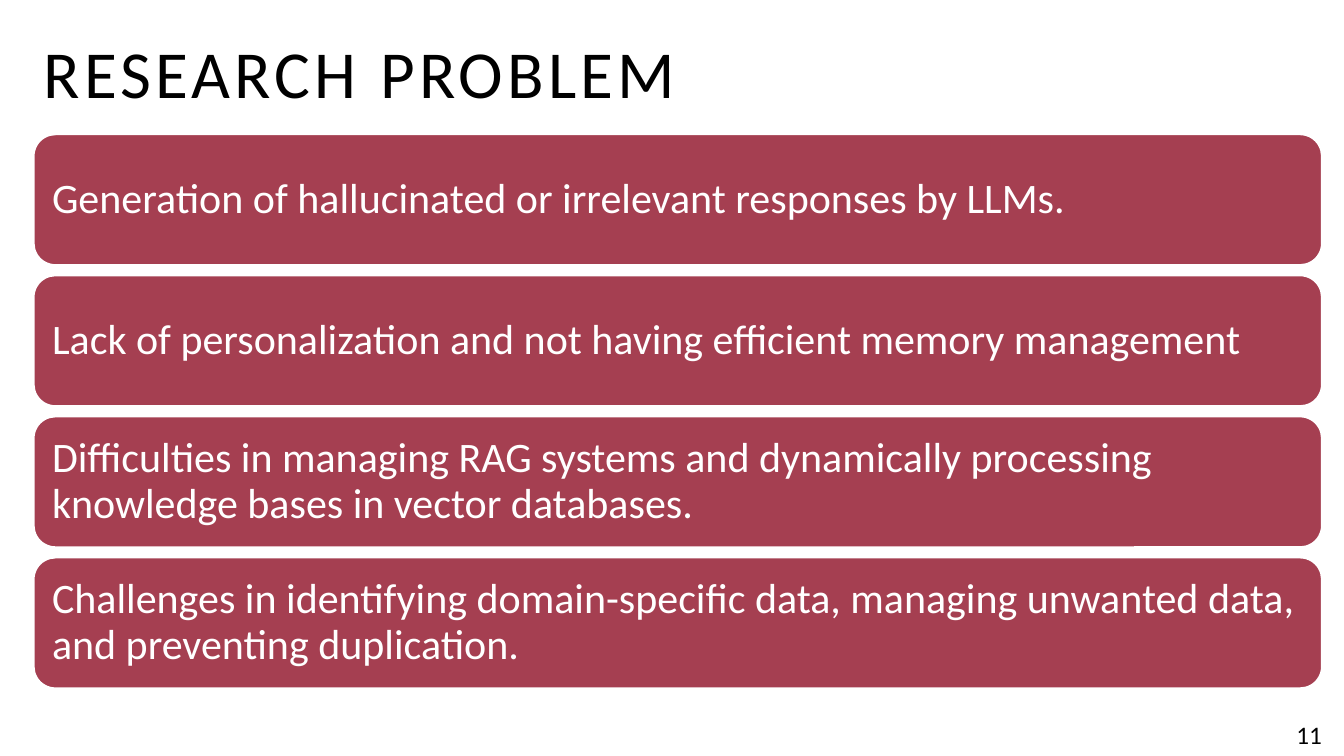
from dataclasses import dataclass

from pptx import Presentation
from pptx.dml.color import RGBColor
from pptx.enum.shapes import MSO_SHAPE
from pptx.enum.text import MSO_ANCHOR, PP_ALIGN
from pptx.util import Inches, Pt

ROUND = MSO_SHAPE.ROUNDED_RECTANGLE
MIDDLE = MSO_ANCHOR.MIDDLE
TOP = MSO_ANCHOR.TOP
LEFT = PP_ALIGN.LEFT

WIDE, HIGH = Inches(13.33), Inches(7.5)
FONT = "Calibri"
HUES = {"black": "000000", "white": "FFFFFF", "rose": "A53F51"}

EDGE, SPAN = 2.5, 95.87
FIRST, STEP, TALL = 17.75, 18.66, 17.33


@dataclass(frozen=True)
class Box:
    """Left, top, width and height as percentages of the slide."""

    left: float
    top: float
    width: float
    height: float

    def emu(self) -> tuple[int, int, int, int]:
        return (
            int(WIDE * self.left / 100),
            int(HIGH * self.top / 100),
            int(WIDE * self.width / 100),
            int(HIGH * self.height / 100),
        )


@dataclass(frozen=True)
class Card:
    text: str
    row: int

    def box(self) -> Box:
        return Box(EDGE, FIRST + self.row * STEP, SPAN, TALL)


ISSUES = (
    "Generation of hallucinated or irrelevant responses by LLMs.",
    "Lack of personalization and not having efficient memory management",
    "Difficulties in managing RAG systems and dynamically processing "
    "knowledge bases in vector databases.",
    "Challenges in identifying domain-specific data, managing unwanted data, "
    "and preventing duplication.",
)


def color(name: str) -> RGBColor:
    return RGBColor.from_string(HUES[name])


def write(shape, text: str, *, size: float, hue: str, anchor=MIDDLE,
          lead: float = 0.9, pad: float = 0.1, wrap: bool = True,
          track: float = 0) -> None:
    frame = shape.text_frame
    frame.word_wrap = wrap
    frame.vertical_anchor = anchor
    frame.margin_left = frame.margin_right = Inches(pad)
    frame.margin_top = frame.margin_bottom = Inches(pad / 2)
    para = frame.paragraphs[0]
    para.alignment = LEFT
    para.line_spacing = lead
    para.space_before = Pt(0)
    run = para.add_run()
    run.text = text
    run.font.name = FONT
    run.font.size = Pt(size)
    run.font.color.rgb = color(hue)
    if track:
        run.font._element.set("spc", str(int(track * 100)))


def place(shape, box: Box) -> None:
    shape.left, shape.top, shape.width, shape.height = box.emu()


def draw(slide, card: Card) -> None:
    shape = slide.shapes.add_shape(ROUND, *card.box().emu())
    shape.shadow.inherit = False
    shape.fill.solid()
    shape.fill.fore_color.rgb = color("rose")
    shape.line.color.rgb = color("white")
    shape.line.width = Pt(1.5)
    write(shape, card.text, size=30, hue="white", pad=0.12)


def main() -> None:
    deck = Presentation()
    deck.slide_width, deck.slide_height = WIDE, HIGH
    slide = deck.slides.add_slide(deck.slide_layouts.get_by_name("Title Only"))

    title = slide.shapes.title
    place(title, Box(EDGE, 4.4, SPAN, 11.6))
    write(title, "RESEARCH PROBLEM", size=48, hue="black", track=3)

    for row, text in enumerate(ISSUES):
        draw(slide, Card(text, row))

    page = slide.shapes.add_textbox(*Box(95.72, 94.53, 3.45, 5.33).emu())
    write(page, "11", size=18, hue="black", anchor=TOP, lead=1, wrap=False)

    deck.save("out.pptx")


if __name__ == "__main__":
    main()
